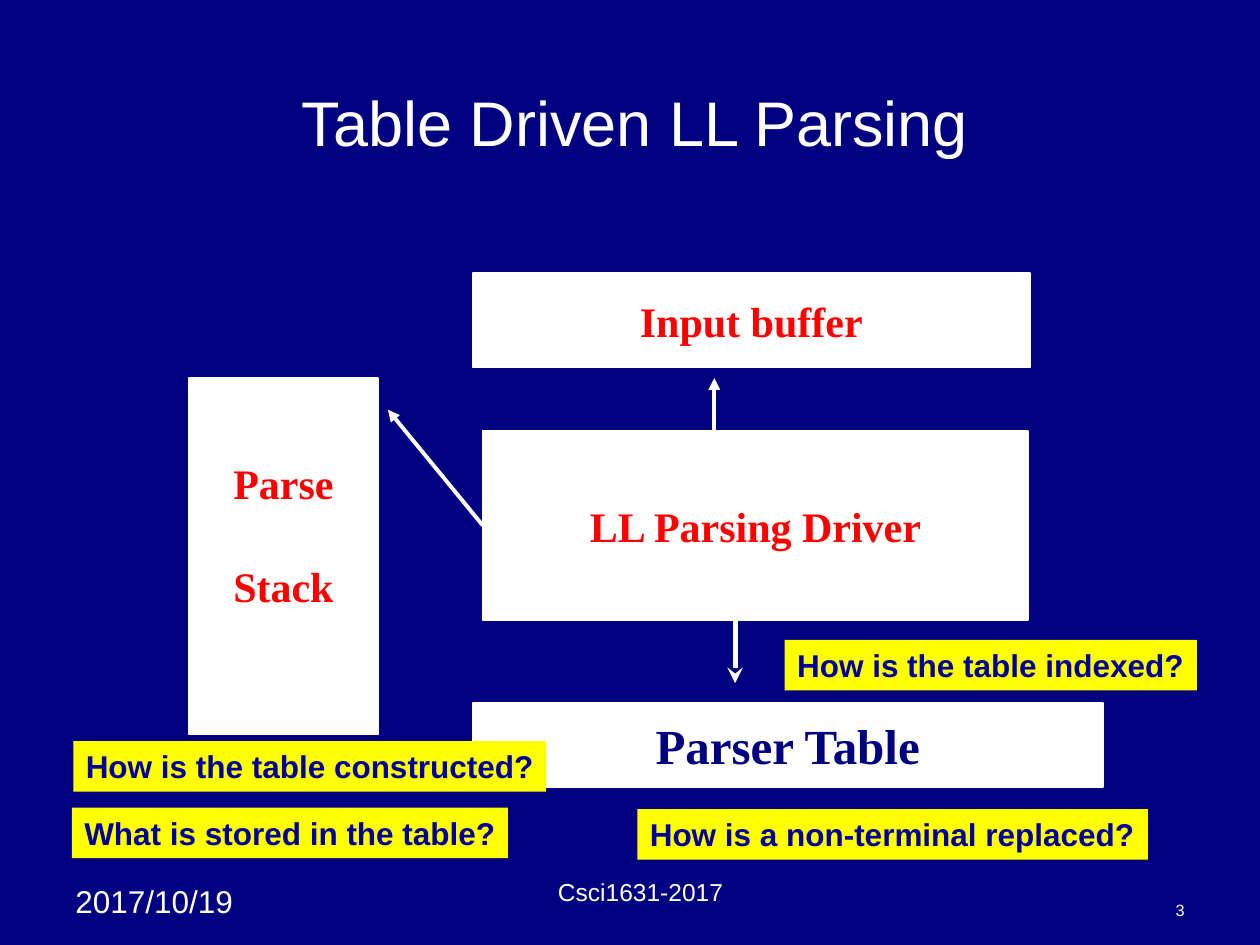
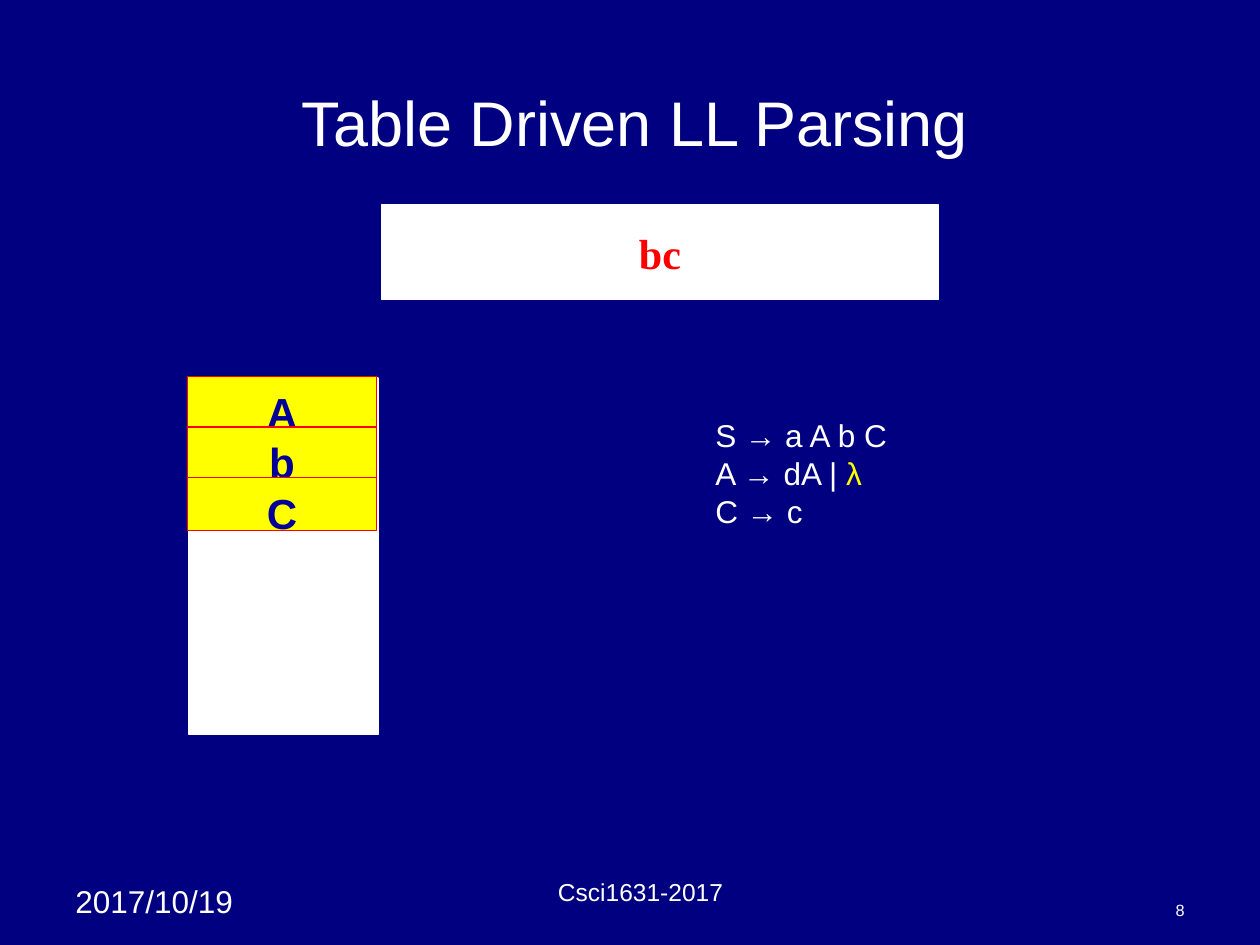
from dataclasses import dataclass

from lxml import etree
from pptx import Presentation
from pptx.dml.color import RGBColor
from pptx.enum import shapes, text
from pptx.oxml import ns
from pptx.util import Cm, Pt


@dataclass(frozen=True)
class Theme:
    navy: str = "000080"
    white: str = "FFFFFF"
    red: str = "FF0000"
    yellow: str = "FFFF00"
    ink: str = "000099"
    sans: str = "Arial"
    serif: str = "Times New Roman"
    title: float = 36
    heading: float = 28
    block: float = 24
    body: float = 18
    footer: float = 14
    number: float = 9.3


T = Theme()
LEFT, CENTER, RIGHT = text.PP_ALIGN.LEFT, text.PP_ALIGN.CENTER, text.PP_ALIGN.RIGHT
TOP, MIDDLE, BOTTOM = (text.MSO_ANCHOR.TOP, text.MSO_ANCHOR.MIDDLE,
                       text.MSO_ANCHOR.BOTTOM)

# Boxes are left, top, width, height in cm.
TITLE = "Table Driven LL Parsing"
TITLE_BOX = (1.47, 1.27, 22.66, 2.34)
DATE, DATE_BOX = "2017/10/19", (1.27, 17.65, 4.01, 1.02)
COURSE, COURSE_BOX = "Csci1631-2017", (8.89, 17.7, 8.05, 0.69)
NUMBER_BOX = (18.21, 17.98, 5.92, 0.69)

STACK_BOX = (3.81, 7.62, 3.81, 7.19)
STACK_NAME = ["Parse", "Stack"]
BLOCKS = [
    ("Input buffer", (9.53, 5.51, 11.23, 1.9), T.block, T.red),
    ("LL Parsing Driver", (9.73, 8.69, 11, 3.81), T.block, T.red),
    ("Parser Table", (9.53, 14.17, 12.7, 1.7), T.heading, T.navy),
]
ARROWS = [  # start, end, line width, head
    ((9.73, 10.59), (7.82, 8.26), 2.25, "triangle"),
    ((14.4, 8.69), (14.4, 7.62), 2.25, "triangle"),
    ((14.82, 12.5), (14.82, 13.77), 3, "stealth"),
]
QUESTION_H = 1.02
QUESTIONS = [  # wording, left, top, width
    ("How is the table indexed?", 15.82, 12.9, 8.31),
    ("How is the table constructed?", 1.48, 14.94, 9.53),
    ("How is a non-terminal replaced?", 12.85, 16.31, 10.29),
    ("What is stored in the table?", 1.45, 16.28, 8.79),
]

REMAINING_INPUT, INPUT_BOX = "bc", (7.69, 4.14, 11.23, 1.9)
STACK_SYMBOLS = ["A", "b", "C"]
CELL_BOX, CELL_STEP = (3.78, 7.59, 3.81, 1.07), 1.02
GRAMMAR_BOX = (14.17, 8.25, 4.04, 2.54)
GRAMMAR = [
    [("S → a A b C", T.white)],
    [("A → dA | ", T.white), ("λ", T.yellow)],
    [("C → c", T.white)],
]


def rgb(value):
    return RGBColor.from_string(value)


def cm(values):
    return [Cm(v) for v in values]


def write(sp, lines, size, color, font=T.sans, bold=False, align=LEFT,
          anchor=TOP, wrap=True):
    """Fill a shape; a line is a string or a list of (wording, colour) runs."""
    tf = sp.text_frame
    tf.auto_size = text.MSO_AUTO_SIZE.NONE
    tf.word_wrap = wrap
    tf.vertical_anchor = anchor
    for i, line in enumerate(lines):
        p = tf.add_paragraph() if i else tf.paragraphs[0]
        p.alignment = align
        for wording, tint in [(line, color)] if isinstance(line, str) else line:
            r = p.add_run()
            r.text = wording
            r.font.size, r.font.name, r.font.bold = Pt(size), font, bold
            r.font.color.rgb = rgb(tint)
    return tf


def add_text(s, box, lines, size, **style):
    return write(s.shapes.add_textbox(*cm(box)), lines, size, T.white, **style)


def add_rect(s, box, fill, line=None, width=1):
    sp = s.shapes.add_shape(shapes.MSO_SHAPE.RECTANGLE, *cm(box))
    sp.shadow.inherit = False
    sp.fill.solid()
    sp.fill.fore_color.rgb = rgb(fill)
    if line:
        sp.line.color.rgb = rgb(line)
        sp.line.width = Pt(width)
    else:
        sp.line.fill.background()
    return sp


def add_block(s, box, lines, size=T.block, color=T.red):
    return write(add_rect(s, box, T.white, T.white), lines, size, color,
                 font=T.serif, bold=True, align=CENTER, anchor=MIDDLE, wrap=False)


def add_arrow(s, start, end, width, head):
    c = s.shapes.add_connector(shapes.MSO_CONNECTOR.STRAIGHT, *cm(start + end))
    c.line.color.rgb = rgb(T.white)
    c.line.width = Pt(width)
    etree.SubElement(c.line._get_or_add_ln(), ns.qn("a:tailEnd"), type=head)
    etree.SubElement(c._element.spPr, ns.qn("a:effectLst"))


def new_slide(prs, number):
    s = prs.slides.add_slide(prs.slide_layouts[5])
    add_text(s, DATE_BOX, [DATE], T.body)
    add_text(s, COURSE_BOX, [COURSE], T.footer, align=CENTER, anchor=BOTTOM)
    add_text(s, NUMBER_BOX, [str(number)], T.number, align=RIGHT, anchor=BOTTOM)
    title = s.shapes.title
    title.left, title.top, title.width, title.height = cm(TITLE_BOX)
    write(title, [TITLE], T.title, T.white, align=CENTER, anchor=MIDDLE)
    return s


def add_overview(prs):
    s = new_slide(prs, 3)
    tf = add_block(s, STACK_BOX, STACK_NAME)
    tf.paragraphs[1].space_before = Pt(30)
    tf.margin_bottom = Cm(1.02)
    for name, box, size, color in BLOCKS:
        add_block(s, box, [name], size, color)
    for arrow in ARROWS:
        add_arrow(s, *arrow)
    for wording, left, top, width in QUESTIONS:
        sp = add_rect(s, (left, top, width, QUESTION_H), T.yellow)
        write(sp, [wording], T.body, T.ink, bold=True, wrap=False)


def add_parse_step(prs):
    s = new_slide(prs, 8)
    add_rect(s, STACK_BOX, T.white, T.white)
    add_block(s, INPUT_BOX, [REMAINING_INPUT])
    tf = add_text(s, GRAMMAR_BOX, GRAMMAR, T.body, wrap=False)
    for p in tf.paragraphs:
        p.line_spacing = Pt(21.7)
    left, top, width, height = CELL_BOX
    for i, symbol in enumerate(STACK_SYMBOLS):
        box = (left, top + i * CELL_STEP, width, height)
        sp = add_rect(s, box, T.yellow, T.red, 0.75)
        tf = write(sp, [symbol], T.block, T.ink, bold=True, align=CENTER)
        tf.margin_top = Cm(0.2)


def main():
    prs = Presentation()
    prs.slide_width, prs.slide_height = Cm(25.4), Cm(19.05)
    fill = prs.slide_master.background.fill
    fill.solid()
    fill.fore_color.rgb = rgb(T.navy)
    add_overview(prs)
    add_parse_step(prs)
    prs.save("out.pptx")


if __name__ == "__main__":
    main()
